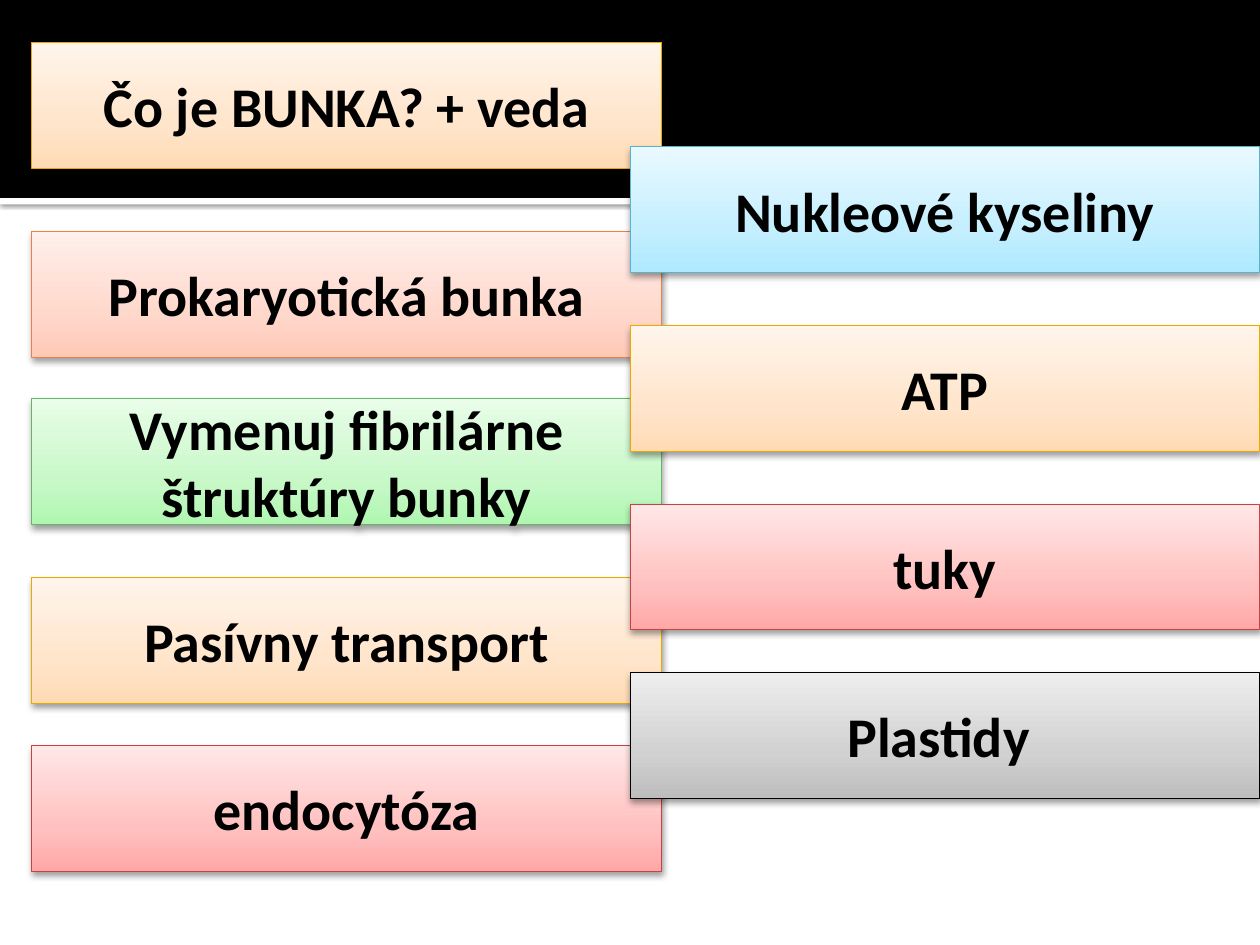
"""Build a slide of quiz topics about the cell in two columns of gradient cards."""
from copy import deepcopy
from typing import NamedTuple

from lxml.etree import SubElement
from pptx import Presentation
from pptx.dml.color import RGBColor
from pptx.enum.shapes import MSO_SHAPE
from pptx.enum.text import MSO_ANCHOR, PP_ALIGN
from pptx.oxml.ns import qn
from pptx.shapes.autoshape import Shape
from pptx.slide import Slide
from pptx.util import Cm, Pt

BLACK = RGBColor(0x00, 0x00, 0x00)
WHITE = RGBColor(0xFF, 0xFF, 0xFF)


class Palette(NamedTuple):
    line: RGBColor
    bottom: RGBColor
    middle: RGBColor
    top: RGBColor


class Card(NamedTuple):
    text: str
    left: float
    top: float
    palette: Palette


ORANGE = Palette(RGBColor(0xEB, 0xA9, 0x00), RGBColor(0xFF, 0xDB, 0xB5),
                 RGBColor(0xFF, 0xE5, 0xCB), RGBColor(0xFF, 0xF5, 0xEB))
CORAL = Palette(RGBColor(0xE7, 0x82, 0x4C), RGBColor(0xFF, 0xC8, 0xB7),
                RGBColor(0xFF, 0xD8, 0xCC), RGBColor(0xFF, 0xF0, 0xEC))
GREEN = Palette(RGBColor(0x67, 0xB5, 0x69), RGBColor(0xB0, 0xF6, 0xB1),
                RGBColor(0xC8, 0xF8, 0xC8), RGBColor(0xE9, 0xFD, 0xE9))
RED = Palette(RGBColor(0xC5, 0x43, 0x42), RGBColor(0xFF, 0xA7, 0xA7),
              RGBColor(0xFF, 0xC1, 0xC0), RGBColor(0xFF, 0xE7, 0xE7))
BLUE = Palette(RGBColor(0x5B, 0xB3, 0xCA), RGBColor(0xAD, 0xE9, 0xFF),
               RGBColor(0xC5, 0xEF, 0xFF), RGBColor(0xE9, 0xF9, 0xFF))
GREY = Palette(BLACK, RGBColor(0xBD, 0xBD, 0xBD),
               RGBColor(0xD1, 0xD1, 0xD1), RGBColor(0xEE, 0xEE, 0xEE))

SLIDE_W, SLIDE_H = 25.4, 19.05
BAND_H, STRIP_H = 3.99, 0.13
CARD_W, CARD_H = SLIDE_W / 2, 2.54
LEFT, RIGHT = 0.64, SLIDE_W / 2
STOP_POSITIONS = (0, 0.35, 1)

CARDS = (
    Card("Čo je BUNKA? + veda", LEFT, 0.85, ORANGE),
    Card("Prokaryotická bunka", LEFT, 4.66, CORAL),
    Card("Vymenuj fibrilárne štruktúry bunky", LEFT, 8.04, GREEN),
    Card("Pasívny transport", LEFT, 11.64, ORANGE),
    Card("endocytóza", LEFT, 15.03, RED),
    Card("ATP", RIGHT, 6.56, ORANGE),
    Card("Nukleové kyseliny", RIGHT, 2.96, BLUE),
    Card("tuky", RIGHT, 10.16, RED),
    Card("Plastidy ", RIGHT, 13.55, GREY),
)


def add_rect(s: Slide, left: float, top: float, width: float, height: float) -> Shape:
    sp = s.shapes.add_shape(MSO_SHAPE.RECTANGLE, Cm(left), Cm(top), Cm(width), Cm(height))
    sp.shadow.inherit = False
    return sp


def add_shadow(sp: Shape, blur: float, dist: float, opacity: int) -> None:
    effects = sp._element.spPr.find(qn("a:effectLst"))
    shadow = SubElement(effects, qn("a:outerShdw"), blurRad=str(Pt(blur)),
                        dist=str(Pt(dist)), dir="5400000", rotWithShape="0")
    color = SubElement(shadow, qn("a:srgbClr"), val=str(BLACK))
    SubElement(color, qn("a:alpha"), val=str(opacity * 1000))


def add_band(s: Slide, top: float, height: float, color: RGBColor) -> Shape:
    sp = add_rect(s, 0, top, SLIDE_W, height)
    sp.fill.solid()
    sp.fill.fore_color.rgb = color
    sp.line.fill.background()
    return sp


def fill_gradient(sp: Shape, palette: Palette) -> None:
    sp.fill.gradient()
    sp.fill.gradient_angle = 90
    stops = sp._element.spPr.find(f".//{qn('a:gsLst')}")
    stops.insert(1, deepcopy(stops[0]))
    colors = (palette.bottom, palette.middle, palette.top)
    for stop, position, color in zip(sp.fill.gradient_stops, STOP_POSITIONS, colors):
        stop.position = position
        stop.color.rgb = color


def add_card(s: Slide, card: Card) -> None:
    sp = add_rect(s, card.left, card.top, CARD_W, CARD_H)
    fill_gradient(sp, card.palette)
    sp.line.color.rgb = card.palette.line
    sp.line.width = Pt(0.5)
    add_shadow(sp, 3.5, 2, 38)
    tf = sp.text_frame
    tf.word_wrap = True
    tf.vertical_anchor = MSO_ANCHOR.MIDDLE
    p = tf.paragraphs[0]
    p.alignment = PP_ALIGN.CENTER
    r = p.add_run()
    r.text = card.text
    r.font.name = "Calibri"
    r.font.size = Pt(32)
    r.font.bold = True
    r.font.color.rgb = BLACK


def main() -> None:
    prs = Presentation()
    prs.slide_width, prs.slide_height = Cm(SLIDE_W), Cm(SLIDE_H)
    s = prs.slides.add_slide(prs.slide_layouts[6])
    s.background.fill.solid()
    s.background.fill.fore_color.rgb = WHITE
    strip = add_band(s, BAND_H, STRIP_H, WHITE)
    add_shadow(strip, 2.5, 0.8, 60)
    add_band(s, 0, BAND_H, BLACK)
    for card in CARDS:
        add_card(s, card)
    prs.save("out.pptx")


if __name__ == "__main__":
    main()
